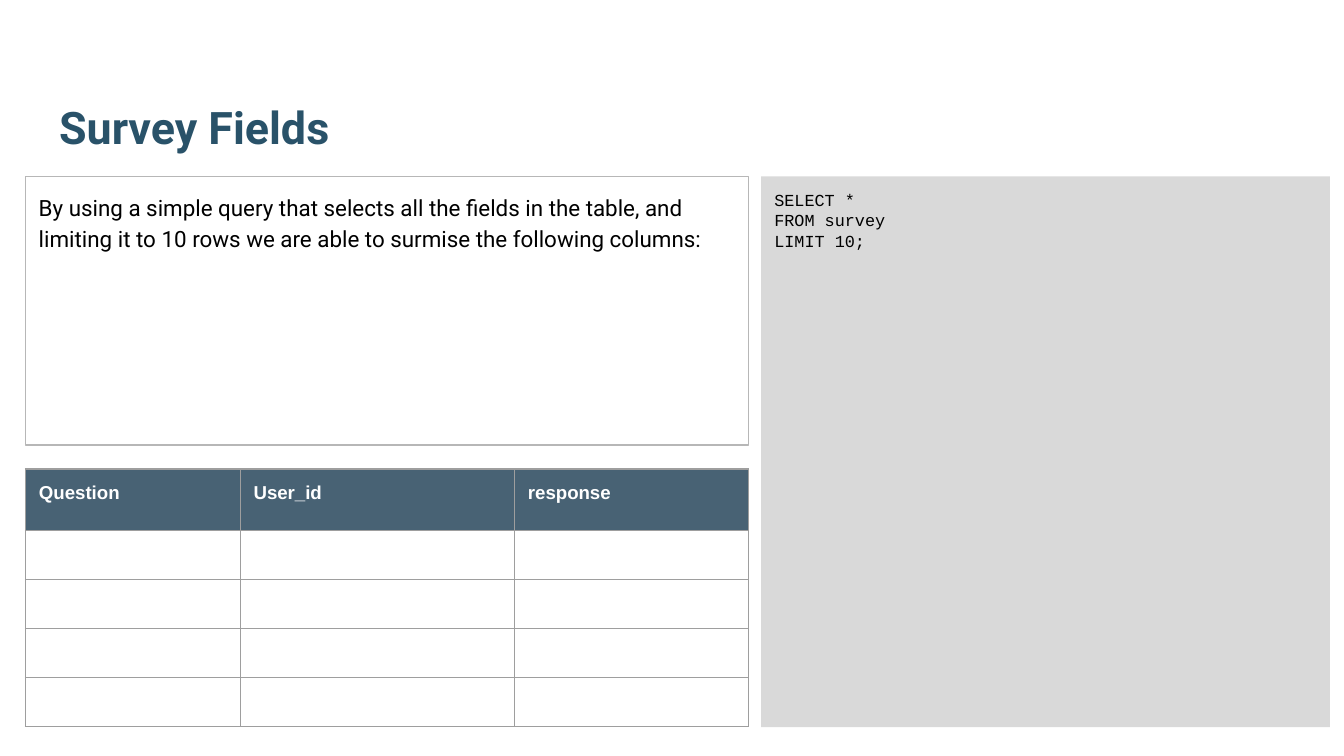
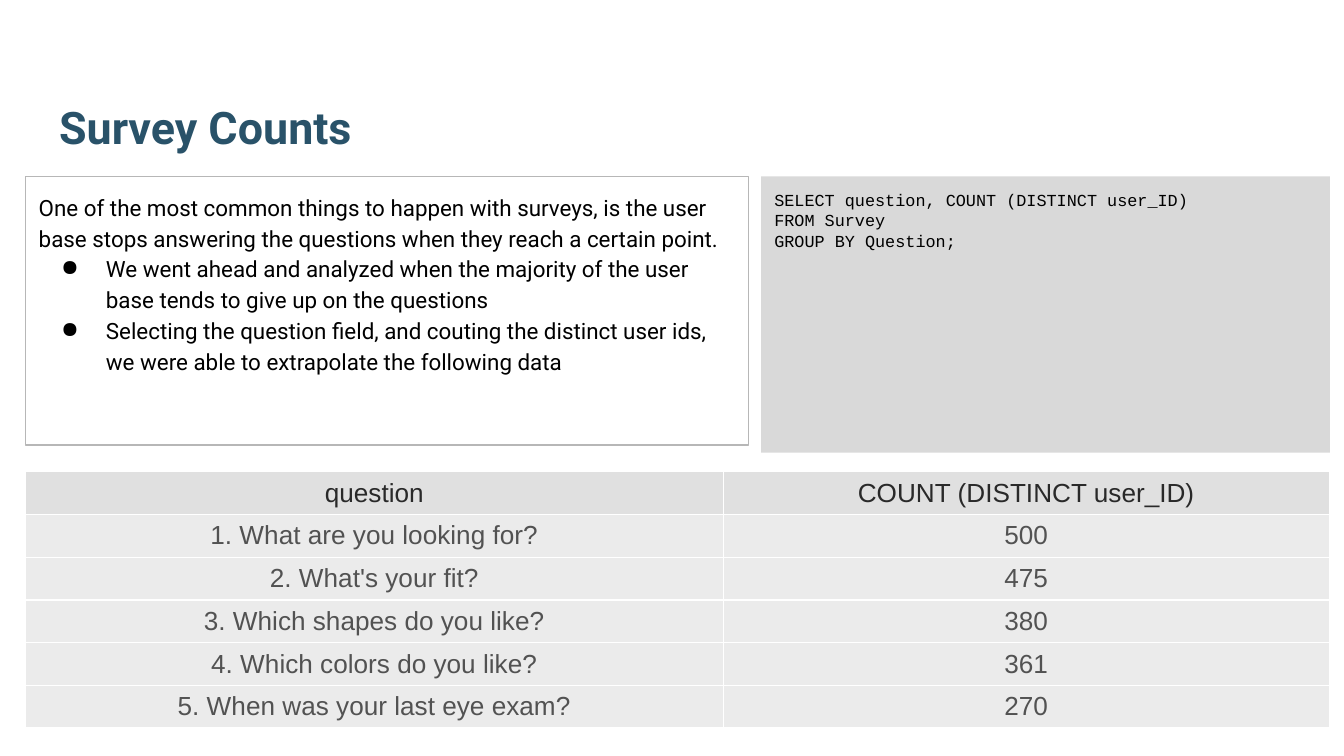
import pptx
import pptx.util
import pptx.dml.color
import pptx.enum.shapes
import pptx.enum.text
import pptx.oxml
import pptx.oxml.ns
from lxml import etree

Pt = pptx.util.Pt
RGBColor = pptx.dml.color.RGBColor
ALIGN = pptx.enum.text.PP_ALIGN
ANCHOR = pptx.enum.text.MSO_ANCHOR
qn = pptx.oxml.ns.qn

# Shared style
TITLE = RGBColor(0x29, 0x52, 0x69)
BLACK = RGBColor(0x00, 0x00, 0x00)
WHITE = RGBColor(0xFF, 0xFF, 0xFF)
CODE_FILL = RGBColor(0xD9, 0xD9, 0xD9)
BOX_LINE = RGBColor(0xB7, 0xB7, 0xB7)
GRID = RGBColor(0x9E, 0x9E, 0x9E)
FIELD_FILL = RGBColor(0x20, 0x40, 0x56)
HEAD_FILL = RGBColor(0xE0, 0xE0, 0xE0)
HEAD_TEXT = RGBColor(0x29, 0x29, 0x29)
ROW_FILL = RGBColor(0xEB, 0xEB, 0xEB)
ROW_TEXT = RGBColor(0x52, 0x52, 0x52)
LEFT, TOP, INSET = 13.7, 94.5, 7.2


def add_text(p, text, size, font, color, bold=False):
    r = p.add_run()
    r.text = text
    r.font.size, r.font.name, r.font.bold = Pt(size), font, bold
    r.font.color.rgb = color


def add_grid(s, top, widths, heights, color):
    """Add a plain table with thin borders of one colour."""
    table = s.shapes.add_table(len(heights), len(widths), Pt(LEFT), Pt(top),
                               Pt(sum(widths)), Pt(sum(heights))).table
    table.first_row = table.horz_banding = False
    for column, width in zip(table.columns, widths):
        column.width = Pt(width)
    for row, height in zip(table.rows, heights):
        row.height = Pt(height)
    for cell in table.iter_cells():
        tcPr = cell._tc.get_or_add_tcPr()
        for side in ("a:lnL", "a:lnR", "a:lnT", "a:lnB"):
            ln = etree.SubElement(tcPr, qn(side), w=str(Pt(0.75)))
            fill = etree.SubElement(ln, qn("a:solidFill"))
            etree.SubElement(fill, qn("a:srgbClr"), val=str(color))
    return table


prs = pptx.Presentation()
prs.slide_width, prs.slide_height = Pt(720), Pt(405)

# Title, body paragraphs (text, bulleted), code lines, code height
pages = [
    ("Survey Fields",
     [("By using a simple query that selects all the fields in the table, and "
       "limiting it to 10 rows we are able to surmise the following columns:", False)],
     ["SELECT *", "FROM survey", "LIMIT 10;"], 295),
    ("Survey Counts",
     [("One of the most common things to happen with surveys, is the user base "
       "stops answering the questions when they reach a certain point.", False),
      ("We went ahead and analyzed when the majority of the user base tends to "
       "give up on the questions", True),
      ("Selecting the question field, and couting the distinct user ids, we were "
       "able to extrapolate the following data", True)],
     ["SELECT question, COUNT (DISTINCT user_ID)", "FROM Survey",
      "GROUP BY Question;"], 148),
]

for title, body, code, code_height in pages:
    s = prs.slides.add_slide(prs.slide_layouts[5])

    # Title
    sp = s.shapes.title
    sp.left, sp.top, sp.width, sp.height = Pt(24.5), Pt(23), Pt(671), Pt(66.2)
    title_frame = sp.text_frame
    title_frame.paragraphs[0].alignment = ALIGN.LEFT
    add_text(title_frame.paragraphs[0], title, 24, "Roboto", TITLE, True)

    # Code panel and body box
    code_box, body_box = [
        s.shapes.add_shape(pptx.enum.shapes.MSO_SHAPE.RECTANGLE,
                           Pt(x), Pt(TOP), Pt(w), Pt(h))
        for x, w, h in ((407.7, 304.8, code_height), (LEFT, 387.5, 144))]
    code_box.fill.solid()
    code_box.fill.fore_color.rgb = CODE_FILL
    code_box.line.fill.background()
    body_box.fill.background()
    body_box.line.color.rgb = BOX_LINE
    body_box.line.width = Pt(0.75)
    for sp in (code_box, body_box):
        sp.shadow.inherit = False
    for tf in (title_frame, code_box.text_frame, body_box.text_frame):
        tf.word_wrap = True
        tf.auto_size = pptx.enum.text.MSO_AUTO_SIZE.NONE
        tf.vertical_anchor = ANCHOR.BOTTOM if tf is title_frame else ANCHOR.TOP
        tf.margin_left = tf.margin_right = Pt(INSET)
        tf.margin_top = tf.margin_bottom = Pt(INSET)

    tf = code_box.text_frame
    for i, line in enumerate(code):
        p = tf.add_paragraph() if i else tf.paragraphs[0]
        p.alignment = ALIGN.LEFT
        add_text(p, line, 9, "Courier New", BLACK)

    tf = body_box.text_frame
    for i, (text, bulleted) in enumerate(body):
        p = tf.add_paragraph() if i else tf.paragraphs[0]
        p.alignment = ALIGN.LEFT
        p.line_spacing = 1.15
        if bulleted:
            pPr = p._p.get_or_add_pPr()
            pPr.set("marL", str(Pt(36)))
            pPr.set("indent", str(Pt(-24)))
            bu_color = etree.SubElement(pPr, qn("a:buClr"))
            etree.SubElement(bu_color, qn("a:srgbClr"), val=str(BLACK))
            etree.SubElement(pPr, qn("a:buChar"), char="●")
        add_text(p, text, 12, "Roboto", BLACK)

# Survey fields table: header row over empty rows
table = add_grid(prs.slides[0], 251.3, [115, 147, 125.5], [33] + [26.3] * 4, GRID)
for cell in table.iter_cells():
    cell.fill.background()
    cell.margin_top = cell.margin_bottom = Pt(2)
for cell, name in zip(table.rows[0].cells, ("Question", "User_id", "response")):
    cell.margin_left = cell.margin_right = Pt(INSET)
    cell.margin_top = cell.margin_bottom = Pt(INSET)
    cell.fill.solid()
    cell.fill.fore_color.rgb = FIELD_FILL
    color = cell._tc.tcPr.find(qn("a:solidFill")).find(qn("a:srgbClr"))
    etree.SubElement(color, qn("a:alpha"), val="82000")
    add_text(cell.text_frame.paragraphs[0], name, 10, "Arial", WHITE, True)

# Survey counts table
counts = [
    ("question", "COUNT (DISTINCT user_ID)"),
    ("1. What are you looking for?", "500"),
    ("2. What's your fit?", "475"),
    ("3. Which shapes do you like?", "380"),
    ("4. Which colors do you like?", "361"),
    ("5. When was your last eye exam?", "270"),
]
table = add_grid(prs.slides[1], 252.8, [373.7, 324.8], [22.9] * len(counts), WHITE)
for i, (row, texts) in enumerate(zip(table.rows, counts)):
    for cell, text in zip(row.cells, texts):
        cell.fill.solid()
        cell.fill.fore_color.rgb = ROW_FILL if i else HEAD_FILL
        cell.vertical_anchor = ANCHOR.MIDDLE
        cell.margin_top = cell.margin_bottom = Pt(3)
        p = cell.text_frame.paragraphs[0]
        p.alignment = ALIGN.CENTER
        add_text(p, text, 14, "Arial", ROW_TEXT if i else HEAD_TEXT)

prs.save("out.pptx")
